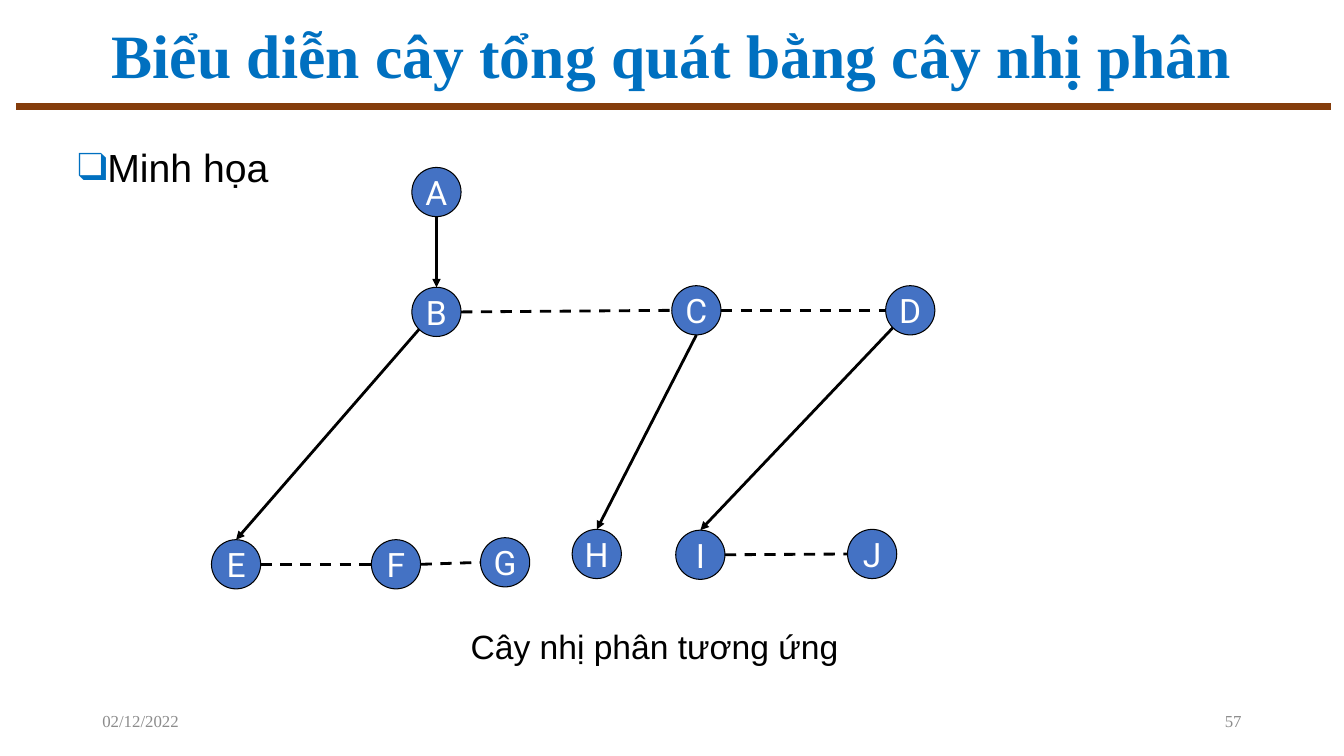
import math

import lxml.etree
import pptx
import pptx.dml.color
import pptx.enum.dml
import pptx.enum.shapes
import pptx.enum.text
import pptx.oxml.ns
import pptx.util

Cm = pptx.util.Cm
Pt = pptx.util.Pt
Align = pptx.enum.text.PP_ALIGN
Anchor = pptx.enum.text.MSO_ANCHOR
qn = pptx.oxml.ns.qn

COLORS = {
    "title": "0070C0",
    "rule": "843C0B",
    "node": "4472C4",
    "ink": "000000",
    "light": "FFFFFF",
    "muted": "8C8C8C",
}
SIZE = 1.24
NODES = {
    "A": (10.38, 4.22),
    "B": (10.38, 7.24),
    "C": (16.93, 7.2),
    "D": (22.32, 7.2),
    "E": (5.33, 13.6),
    "F": (9.36, 13.6),
    "G": (12.11, 13.55),
    "H": (14.42, 13.34),
    "I": (17.03, 13.36),
    "J": (21.36, 13.34),
}
CHILDREN = [("A", "B", 90), ("B", "E", 135), ("C", "H", 90), ("D", "I", 135)]
SIBLINGS = ["BC", "CD", "EF", "FG", "IJ"]


def color(name):
    return pptx.dml.color.RGBColor.from_string(COLORS[name])


def add_bullet(para, char, tint):
    props = para._p.get_or_add_pPr()
    props.set("marL", str(Cm(0.64)))
    props.set("indent", str(-Cm(0.64)))
    paint = lxml.etree.SubElement(props, qn("a:buClr"))
    lxml.etree.SubElement(paint, qn("a:srgbClr"), val=COLORS[tint])
    lxml.etree.SubElement(props, qn("a:buFont"), typeface="Times New Roman")
    lxml.etree.SubElement(props, qn("a:buChar"), char=char)


def put_text(shape, text, size, font="Arial", tint="ink", bold=False,
             align=Align.LEFT, anchor=Anchor.TOP, wrap=True, space=1.0,
             bullet=None):
    frame = shape.text_frame
    frame.word_wrap = wrap
    frame.vertical_anchor = anchor
    para = frame.paragraphs[0]
    if bullet:
        add_bullet(para, bullet, "title")
    para.alignment = align
    para.line_spacing = space
    run = para.add_run()
    run.text = text
    run.font.size = Pt(size)
    run.font.name = font
    run.font.bold = bold
    run.font.color.rgb = color(tint)


def add_text(slide, box, text, size, **style):
    shape = slide.shapes.add_textbox(*map(Cm, box))
    put_text(shape, text, size, **style)


def add_node(slide, label, place):
    node = slide.shapes.add_shape(
        pptx.enum.shapes.MSO_SHAPE.OVAL, *map(Cm, (*place, SIZE, SIZE)))
    node.shadow.inherit = False
    node.fill.solid()
    node.fill.fore_color.rgb = color("node")
    node.line.color.rgb = color("ink")
    node.line.width = Pt(0.75)
    put_text(node, label, 24, font="Roboto", tint="light",
             align=Align.CENTER, anchor=Anchor.MIDDLE, wrap=False)
    return node


def add_line(slide, start, end, tint="ink", width=2, dash=False, arrow=False):
    line = slide.shapes.add_connector(
        pptx.enum.shapes.MSO_CONNECTOR.STRAIGHT, *map(Cm, (*start, *end)))
    line.line.color.rgb = color(tint)
    line.line.width = Pt(width)
    if dash:
        line.line.dash_style = pptx.enum.dml.MSO_LINE.DASH
    props = line._element.spPr
    if arrow:
        lxml.etree.SubElement(props.find(qn("a:ln")), qn("a:tailEnd"),
                              type="triangle")
    lxml.etree.SubElement(props, qn("a:effectLst"))
    return line


def rim(label, angle):
    left, top = NODES[label]
    half = SIZE / 2
    turn = math.radians(angle)
    return (left + half + half * math.cos(turn),
            top + half + half * math.sin(turn))


def add_tree(slide):
    nodes = {label: add_node(slide, label, place)
             for label, place in NODES.items()}
    for parent, child, angle in CHILDREN:
        line = add_line(slide, rim(parent, angle), rim(child, 270), arrow=True)
        line.end_connect(nodes[child], 0)
    for left, right in SIBLINGS:
        add_line(slide, rim(left, 0), rim(right, 180), dash=True)


def main():
    deck = pptx.Presentation()
    deck.slide_width = Cm(33.87)
    deck.slide_height = Cm(19.05)
    slide = deck.slides.add_slide(deck.slide_layouts[6])

    add_line(slide, (0.41, 2.69), (33.55, 2.69), tint="rule", width=5)
    add_text(slide, (2.33, 0.45, 29.21, 2.06),
             "Biểu diễn cây tổng quát bằng cây nhị phân", 44,
             font="Times New Roman", tint="title", bold=True,
             align=Align.CENTER, anchor=Anchor.MIDDLE, space=0.9)
    add_text(slide, (1.71, 3.02, 30.63, 15.01), "Minh họa", 28,
             align=Align.JUSTIFY, space=1.4, bullet="❑")
    foot = {"font": "Times New Roman", "tint": "muted",
            "anchor": Anchor.MIDDLE}
    add_text(slide, (23.92, 17.65, 7.62, 1.02), "57", 12,
             align=Align.RIGHT, **foot)
    add_text(slide, (2.33, 17.65, 7.62, 1.02), "02/12/2022", 12, **foot)
    add_tree(slide)
    add_text(slide, (11.61, 15.65, 9.88, 1.27), "Cây nhị phân tương ứng", 24,
             wrap=False)
    deck.save("out.pptx")


if __name__ == "__main__":
    main()
